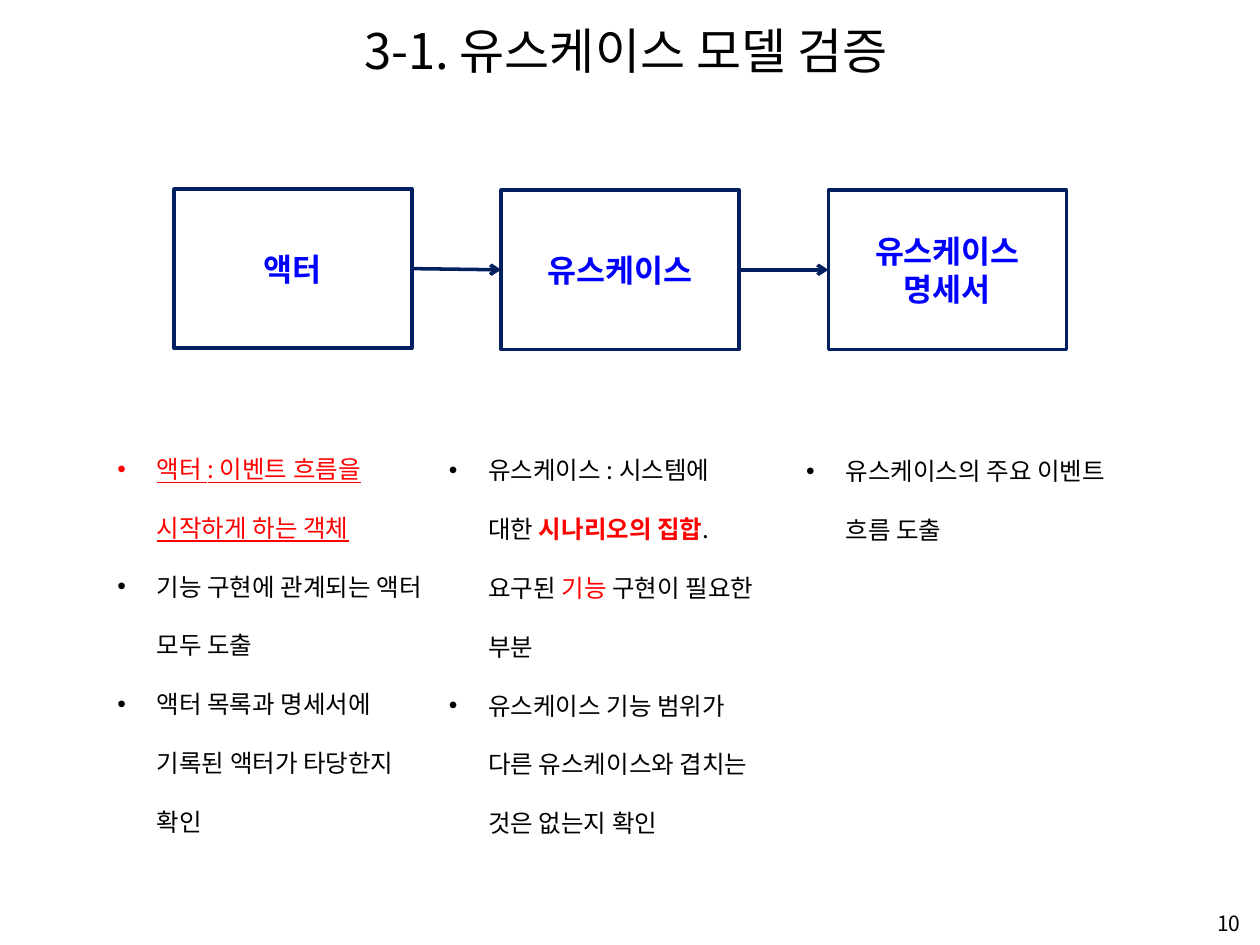
"""Build the use case model validation slide."""
from dataclasses import dataclass

from lxml import etree
from pptx import Presentation
from pptx import util as u
from pptx.dml.color import RGBColor
from pptx.enum import shapes, text
from pptx.oxml.ns import qn

Pt = u.Pt
ALIGN = text.PP_ALIGN
MIDDLE = text.MSO_ANCHOR.MIDDLE


@dataclass(frozen=True)
class Theme:
    font: str = "Noto Sans CJK KR"
    ink: str = "000000"
    navy: str = "002060"
    blue: str = "0000FF"
    red: str = "FF0000"
    title: int = 28
    box: int = 18
    body: int = 14
    number: int = 12
    line: int = 2
    indent: float = 22.5


T = Theme()


def add_text(p, txt, size=T.body, color=T.ink, bold=False, underline=False):
    r = p.add_run()
    r.text = txt
    f = r.font
    f.size, f.bold, f.underline, f.name = Pt(size), bold, underline, T.font
    f.color.rgb = RGBColor.from_string(color)
    etree.SubElement(r._r.get_or_add_rPr(), qn("a:ea"), typeface=T.font)


class Deck:
    def __init__(self, prs):
        self.s = prs.slides.add_slide(prs.slide_layouts[6])

    def label(self, x, y, w, h, txt, size, align):
        tf = self.s.shapes.add_textbox(Pt(x), Pt(y), Pt(w), Pt(h)).text_frame
        tf.word_wrap, tf.vertical_anchor = True, MIDDLE
        p = tf.paragraphs[0]
        p.alignment = align
        add_text(p, txt, size=size)

    def box(self, x, y, w, h, lines):
        sp = self.s.shapes.add_shape(shapes.MSO_SHAPE.RECTANGLE, Pt(x), Pt(y), Pt(w), Pt(h))
        sp.shadow.inherit = False
        sp.fill.background()
        sp.line.color.rgb = RGBColor.from_string(T.navy)
        sp.line.width = Pt(T.line)
        tf = sp.text_frame
        tf.word_wrap, tf.vertical_anchor = True, MIDDLE
        for i, txt in enumerate(lines):
            p = tf.add_paragraph() if i else tf.paragraphs[0]
            p.alignment = ALIGN.CENTER
            add_text(p, txt, size=T.box, color=T.blue, bold=True)

    def arrow(self, x1, y1, x2, y2):
        c = self.s.shapes.add_connector(
            shapes.MSO_CONNECTOR.STRAIGHT, Pt(x1), Pt(y1), Pt(x2), Pt(y2))
        c.line.color.rgb = RGBColor.from_string(T.navy)
        c.line.width = Pt(T.line)
        spPr = c._element.spPr
        etree.SubElement(spPr.find(qn("a:ln")), qn("a:tailEnd"), type="arrow")
        etree.SubElement(spPr, qn("a:effectLst"))

    def bullets(self, x, y, w, h, items):
        tf = self.s.shapes.add_textbox(Pt(x), Pt(y), Pt(w), Pt(h)).text_frame
        tf.word_wrap = True
        tf.auto_size = text.MSO_AUTO_SIZE.SHAPE_TO_FIT_TEXT
        for i, runs in enumerate(items):
            p = tf.add_paragraph() if i else tf.paragraphs[0]
            pPr = p._p.get_or_add_pPr()
            pPr.set("marL", str(Pt(T.indent)))
            pPr.set("indent", str(-Pt(T.indent)))
            etree.SubElement(pPr, qn("a:buFont"), typeface="Arial")
            etree.SubElement(pPr, qn("a:buChar"), char="•")
            p.line_spacing = 2.0
            for txt, fmt in runs:
                add_text(p, txt, **fmt)


def main():
    prs = Presentation()
    prs.slide_width, prs.slide_height = Pt(720), Pt(540)
    d = Deck(prs)
    d.label(8.5, 3.5, 698, 50, "3-1. 유스케이스 모델 검증", T.title, ALIGN.CENTER)
    d.label(548, 518.5, 168, 18, "10", T.number, ALIGN.RIGHT)

    left, pitch, w, h = 99.4, 187, 136, 91
    tops = (108, 108.7, 108.7)
    names = (["액터"], ["유스케이스"], ["유스케이스", "명세서"])
    for i, (top, lines) in enumerate(zip(tops, names)):
        d.box(left + i * pitch, top, w, h, lines)
    for i in range(len(names) - 1):
        d.arrow(left + i * pitch + w, tops[i] + h / 2,
                left + (i + 1) * pitch, tops[i + 1] + h / 2)

    columns = (
        (60, 239, 245, [
            [("액터 : 이벤트 흐름을 시작하게 하는 객체", dict(color=T.red, underline=True))],
            [("기능 구현에 관계되는 액터 모두 도출", {})],
            [("액터 목록과 명세서에 기록된 액터가 타당한지 확인", {})],
        ]),
        (249.4, 239.8, 245, [
            [("유스케이스 : 시스템에 대한 ", {}),
             ("시나리오의 집합", dict(color=T.red, bold=True)),
             (". 요구된 ", {}),
             ("기능", dict(color=T.red)),
             (" 구현이 필요한 부분", {})],
            [("유스케이스 기능 범위가 다른 유스케이스와 겹치는 것은 없는지 확인", {})],
        ]),
        (453.6, 240.5, 75, [[("유스케이스의 주요 이벤트 흐름 도출", {})]]),
    )
    for x, y, height, items in columns:
        d.bullets(x, y, 190, height, items)
    prs.save("out.pptx")


if __name__ == "__main__":
    main()
